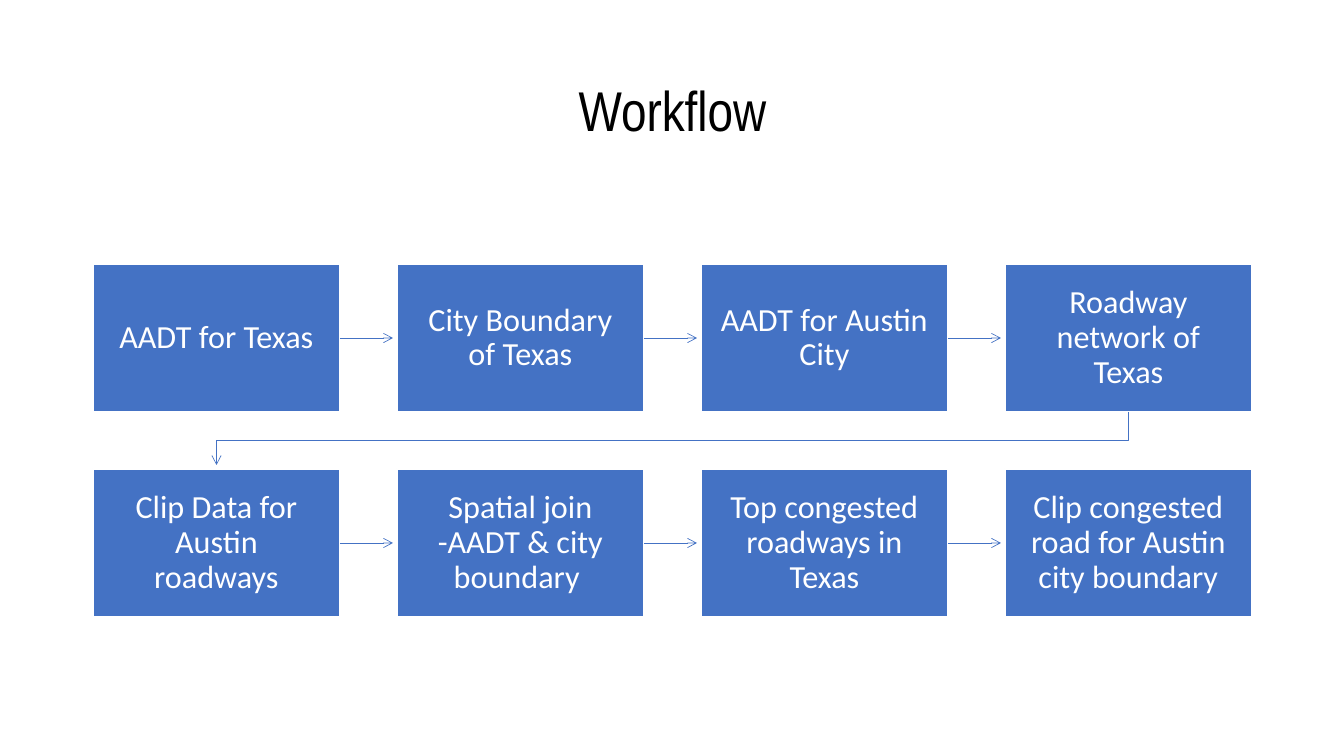
from lxml import etree
from pptx import Presentation
from pptx.dml.color import RGBColor
from pptx.enum.shapes import MSO_CONNECTOR as Connector, MSO_SHAPE as Shape
from pptx.enum.text import MSO_ANCHOR as Anchor, PP_ALIGN as Align
from pptx.oxml.ns import qn
from pptx.util import Pt

TITLE = "Workflow"
STEPS = [
    ["AADT for Texas", "City Boundary of Texas", "AADT for Austin City",
     "Roadway network of Texas"],
    ["Clip Data for Austin roadways", "Spatial join -AADT & city boundary ",
     "Top congested roadways in Texas",
     "Clip congested road for Austin city boundary"],
]

BLUE = RGBColor(0x44, 0x72, 0xC4)
WHITE = RGBColor(0xFF, 0xFF, 0xFF)
BLACK = RGBColor(0x00, 0x00, 0x00)

SCALE = 914400 / 100.8
LEFT, TOP = 93, 264
BOX_WIDTH, BOX_HEIGHT = 247, 148
COLUMN_STEP, ROW_STEP = 304, 205
INSET, ARROW_GAP = 18, 4


def px(length):
    """Turn pixels into EMU."""
    return round(length * SCALE)


def write(frame, text, font_name, size, color):
    """Put one centred paragraph into a text frame."""
    frame.text = text
    frame.word_wrap = True
    frame.vertical_anchor = Anchor.MIDDLE
    para = frame.paragraphs[0]
    para.alignment = Align.CENTER
    para.line_spacing = 0.9
    font = para.runs[0].font
    font.name, font.size, font.color.rgb = font_name, Pt(size), color


def add_step(page, text, left, top):
    """Add one workflow box."""
    box = page.shapes.add_shape(
        Shape.RECTANGLE, px(left), px(top), px(BOX_WIDTH), px(BOX_HEIGHT))
    box.shadow.inherit = False
    box.fill.solid()
    box.fill.fore_color.rgb = BLUE
    box.line.color.rgb = WHITE
    box.line.width = Pt(1)
    frame = box.text_frame
    frame.margin_left = frame.margin_right = px(INSET)
    frame.margin_top = frame.margin_bottom = px(INSET)
    write(frame, text, "Calibri", 23, WHITE)
    return box


def style_arrow(line):
    """Make a thin blue line with an open arrowhead."""
    line.color.rgb = BLUE
    line.width = Pt(0.5)
    etree.SubElement(line._get_or_add_ln(), qn("a:tailEnd"), type="arrow")


def add_arrow(page, start, target):
    """Join a step to the next one in its row."""
    middle = start.top + start.height // 2
    arrow = page.shapes.add_connector(
        Connector.STRAIGHT, start.left + start.width, middle,
        target.left - px(ARROW_GAP), middle)
    arrow.begin_connect(start, 3)
    style_arrow(arrow.line)
    etree.SubElement(arrow._element.spPr, qn("a:effectLst"))


def add_row_turn(page, start, target):
    """Lead from the end of one row to the start of the next."""
    start_x = start.left + start.width // 2
    target_x = target.left + target.width // 2
    bottom = start.top + start.height
    middle = (bottom + target.top) // 2
    builder = page.shapes.build_freeform(start_x, bottom)
    builder.add_line_segments(
        [(start_x, middle), (target_x, middle),
         (target_x, target.top - px(ARROW_GAP))], close=False)
    turn = builder.convert_to_shape()
    turn.shadow.inherit = False
    turn.fill.background()
    style_arrow(turn.line)


def main():
    """Build the workflow slide."""
    deck = Presentation()
    deck.slide_width, deck.slide_height = px(1344), px(756)
    page = deck.slides.add_slide(deck.slide_layouts[5])

    title = page.shapes.title
    title.left, title.top, title.width, title.height = (
        px(length) for length in (93, 40, 1159, 146))
    write(title.text_frame, TITLE, "Arial Narrow", 40, BLACK)

    rows = [
        [add_step(page, text, LEFT + column * COLUMN_STEP, TOP + row * ROW_STEP)
         for column, text in enumerate(texts)]
        for row, texts in enumerate(STEPS)
    ]
    for boxes in rows:
        for start, target in zip(boxes, boxes[1:]):
            add_arrow(page, start, target)
    for upper, lower in zip(rows, rows[1:]):
        add_row_turn(page, upper[-1], lower[0])

    deck.save("out.pptx")


if __name__ == "__main__":
    main()
